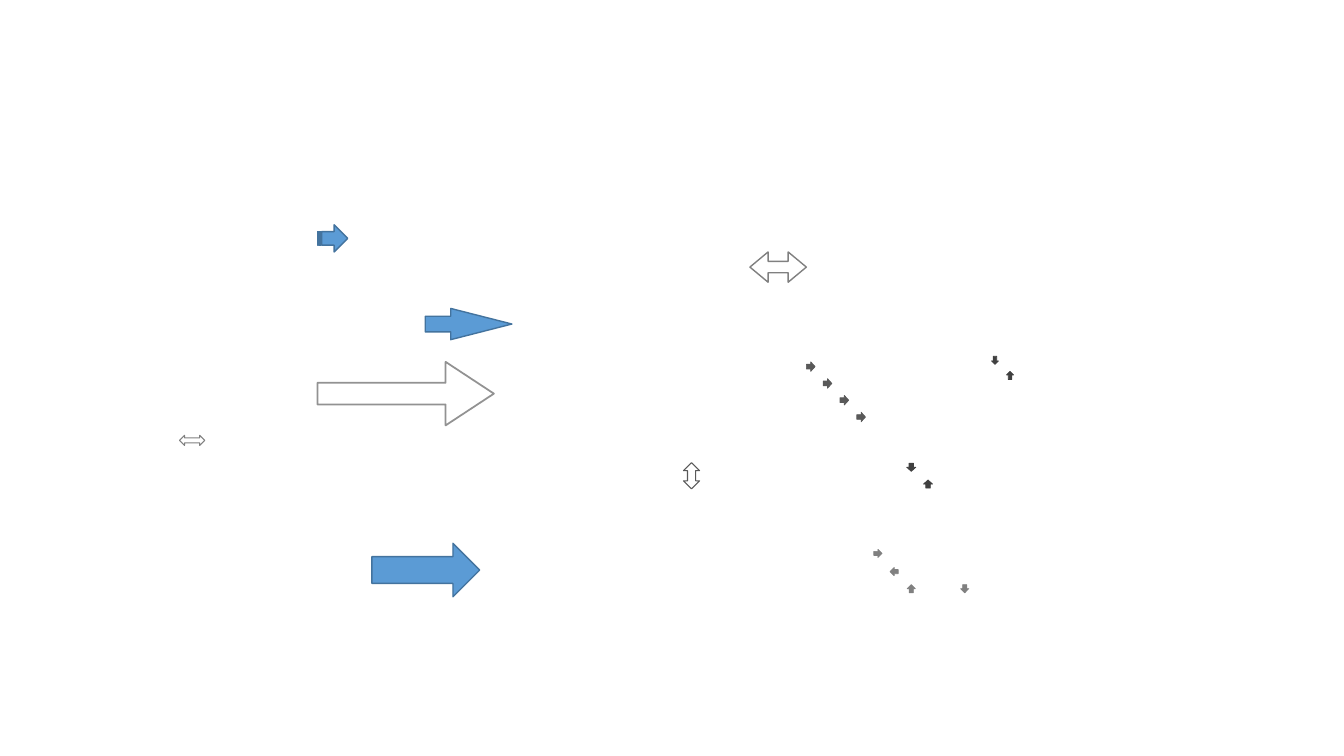
import pptx
import pptx.util
import pptx.dml.color
import pptx.enum.shapes
import pptx.oxml
import lxml.etree

Pt = pptx.util.Pt
Kind = pptx.enum.shapes.MSO_SHAPE
RIGHT = Kind.RIGHT_ARROW
BOTH = Kind.LEFT_RIGHT_ARROW
STRIPED = Kind.STRIPED_RIGHT_ARROW


class Board:
    hues = {"blue": "5B9BD5", "edge": "43739E", "black": "262626",
            "dark": "404040", "slate": "595959", "gray": "808080"}

    def __init__(self, deck):
        self.slide = deck.slides.add_slide(deck.slide_layouts[6])

    def hue(self, name):
        return pptx.dml.color.RGBColor.from_string(self.hues[name])

    def arrow(self, kind, box, line, width, fill=None, turn=0, adjust=(), alpha=None):
        shape = self.slide.shapes.add_shape(kind, *[Pt(n) for n in box])
        shape.shadow.inherit = False
        shape.rotation = turn
        for i, value in enumerate(adjust):
            shape.adjustments[i] = value
        if fill:
            shape.fill.solid()
            shape.fill.fore_color.rgb = self.hue(fill)
        else:
            shape.fill.background()
        shape.line.color.rgb = self.hue(line)
        shape.line.width = Pt(width)
        if alpha:
            tint = shape.line._ln.find(".//" + pptx.oxml.ns.qn("a:srgbClr"))
            lxml.etree.SubElement(tint, pptx.oxml.ns.qn("a:alpha"), val=str(alpha * 1000))

    def solid(self, kind, box, adjust=()):
        self.arrow(kind, box, "edge", 1, "blue", adjust=adjust)

    def mark(self, left, top, wide, high, tone, turn=0):
        self.arrow(RIGHT, (left, top, wide, high), tone, 0.5, tone, turn)


deck = pptx.Presentation()
deck.slide_width, deck.slide_height = Pt(960), Pt(540)
board = Board(deck)

board.solid(RIGHT, (303.8, 220.3, 61.9, 22.3), (0.5, 1.96))
board.solid(STRIPED, (226.8, 160.6, 21.6, 19.4))
board.arrow(RIGHT, (226.8, 258.5, 126, 45.4), "black", 1.25,
            adjust=(0.34, 0.76), alpha=50)
board.solid(RIGHT, (265.7, 388.1, 77, 38.2))

board.arrow(BOTH, (128.2, 311, 18, 7.2), "gray", 0.75)
board.arrow(BOTH, (484.6, 334.1, 18.7, 11.5), "slate", 0.75, turn=90)
board.arrow(BOTH, (535.7, 180, 40.3, 21.6), "gray", 1, adjust=(0.38, 0.6))

for i in range(4):
    board.mark(576 + 12 * i, 258.5 + 12 * i, 6.2, 6.8, "slate")

for left, top, turn in [(624.2, 392.4, 0), (635.8, 405.4, 180),
                        (648, 417.6, 270), (686.2, 417.6, 90)]:
    board.mark(left, top, 5.8, 5.8, "gray", turn)

for left, top, high, step in [(648, 330.5, 6.5, 12), (707.8, 254.9, 5, 10.8)]:
    board.mark(left, top, 5.8, high, "dark", 90)
    board.mark(left + step, top + step, 5.8, high, "dark", 270)

deck.save("out.pptx")
